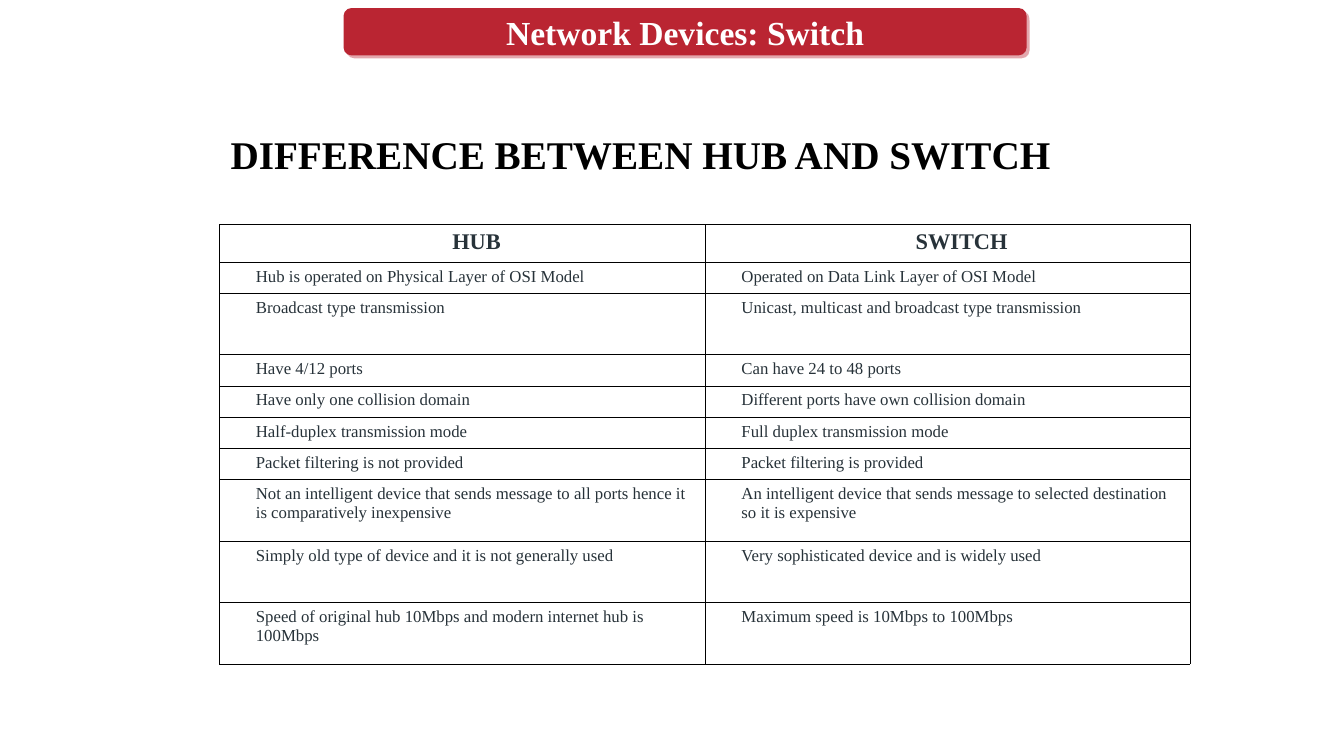
from dataclasses import dataclass

import pptx
import pptx.dml.color
import pptx.enum.shapes
import pptx.enum.text
import pptx.oxml
import pptx.oxml.ns
import pptx.util
from pptx.dml.color import RGBColor
from pptx.util import Inches

RED = RGBColor(0xBA, 0x25, 0x32)
WHITE = RGBColor(0xFF, 0xFF, 0xFF)
BLACK = RGBColor(0x00, 0x00, 0x00)
SLATE = RGBColor(0x27, 0x32, 0x39)
FONT = "Times New Roman"
ALIGN = pptx.enum.text.PP_ALIGN
NAMESPACE = pptx.oxml.ns.nsdecls("a")
BORDER_SIDES = ("lnL", "lnR", "lnT", "lnB")
BORDER_WIDTH = pptx.util.Pt(0.45)
SHADOW_DISTANCE = pptx.util.Pt(3)


@dataclass(frozen=True)
class TextStyle:
    size: int
    color: RGBColor
    bold: bool
    align: ALIGN


@dataclass(frozen=True)
class Comparison:
    hub: str
    switch: str
    height: float = 0.31
    header: bool = False


BANNER_STYLE = TextStyle(24, WHITE, True, ALIGN.CENTER)
HEADING_STYLE = TextStyle(28, BLACK, True, ALIGN.JUSTIFY)
HEADER_STYLE = TextStyle(16, SLATE, True, ALIGN.CENTER)
BODY_STYLE = TextStyle(12, SLATE, False, ALIGN.LEFT)

COMPARISONS = (
    Comparison("HUB", "SWITCH", 0.37, True),
    Comparison("Hub is operated on Physical Layer of OSI Model",
               "Operated on Data Link Layer of OSI Model"),
    Comparison("Broadcast type transmission",
               "Unicast, multicast and broadcast type transmission", 0.61),
    Comparison("Have 4/12 ports", "Can have 24 to 48 ports"),
    Comparison("Have only one collision domain",
               "Different ports have own collision domain"),
    Comparison("Half-duplex transmission mode", "Full duplex transmission mode"),
    Comparison("Packet filtering is not provided", "Packet filtering is provided"),
    Comparison("Not an intelligent device that sends message to all ports hence it "
               "is comparatively inexpensive",
               "An intelligent device that sends message to selected destination "
               "so it is expensive", 0.61),
    Comparison("Simply old type of device and it is not generally used",
               "Very sophisticated device and is widely used", 0.61),
    Comparison("Speed of original hub 10Mbps and modern internet hub is 100Mbps",
               "Maximum speed is 10Mbps to 100Mbps", 0.61),
)


def write_text(frame: pptx.text.text.TextFrame, text: str, style: TextStyle) -> None:
    para = frame.paragraphs[0]
    para.alignment = style.align
    span = para.add_run()
    span.text = text
    span.font.name = FONT
    span.font.size = pptx.util.Pt(style.size)
    span.font.bold = style.bold
    span.font.color.rgb = style.color


def add_banner(page: pptx.slide.Slide) -> None:
    banner = page.shapes.add_shape(
        pptx.enum.shapes.MSO_SHAPE.ROUNDED_RECTANGLE,
        Inches(3.41), Inches(0.08), Inches(6.78), Inches(0.47))
    banner.fill.solid()
    banner.fill.fore_color.rgb = RED
    banner.line.fill.background()
    banner.shadow.inherit = False
    effects = banner.element.spPr.find(pptx.oxml.ns.qn("a:effectLst"))
    effects.append(pptx.oxml.parse_xml(
        f'<a:outerShdw {NAMESPACE} blurRad="0" dist="{SHADOW_DISTANCE}" '
        f'dir="2700000" algn="tl" rotWithShape="0"><a:srgbClr val="{RED}">'
        '<a:alpha val="40000"/></a:srgbClr></a:outerShdw>'))
    banner.text_frame.vertical_anchor = pptx.enum.text.MSO_ANCHOR.MIDDLE
    write_text(banner.text_frame, "Network Devices: Switch", BANNER_STYLE)


def add_heading(page: pptx.slide.Slide) -> None:
    box = page.shapes.add_textbox(
        Inches(2.19), Inches(1.24), Inches(8.35), Inches(0.57))
    box.text_frame.word_wrap = False
    box.text_frame.auto_size = pptx.enum.text.MSO_AUTO_SIZE.SHAPE_TO_FIT_TEXT
    write_text(box.text_frame, "DIFFERENCE BETWEEN HUB AND SWITCH", HEADING_STYLE)


def fill_cell(cell: pptx.table._Cell, text: str, style: TextStyle) -> None:
    cell.margin_left = cell.margin_right = Inches(0.08)
    cell.margin_top = cell.margin_bottom = Inches(0.05)
    properties = cell._tc.get_or_add_tcPr()
    for side in BORDER_SIDES:
        properties.append(pptx.oxml.parse_xml(
            f'<a:{side} {NAMESPACE} w="{BORDER_WIDTH}"><a:solidFill>'
            f'<a:srgbClr val="{BLACK}"/></a:solidFill></a:{side}>'))
    cell.fill.background()
    write_text(cell.text_frame, text, style)
    indent = cell.text_frame.paragraphs[0]._p.get_or_add_pPr()
    indent.set("marL", str(Inches(0.28)))
    indent.set("indent", "0")


def add_comparison_table(page: pptx.slide.Slide) -> None:
    total_height = sum(item.height for item in COMPARISONS)
    table = page.shapes.add_table(
        len(COMPARISONS), 2, Inches(2.18), Inches(2.23),
        Inches(9.63), Inches(total_height)).table
    table.first_row = False
    table.horz_banding = False
    for column, width in zip(table.columns, (4.82, 4.81)):
        column.width = Inches(width)
    for row, item in zip(table.rows, COMPARISONS):
        row.height = Inches(item.height)
        style = HEADER_STYLE if item.header else BODY_STYLE
        for cell, text in zip(row.cells, (item.hub, item.switch)):
            fill_cell(cell, text, style)


def main() -> None:
    deck = pptx.Presentation()
    deck.slide_width = Inches(13.34)
    deck.slide_height = Inches(7.5)
    page = deck.slides.add_slide(deck.slide_layouts[6])
    add_banner(page)
    add_heading(page)
    add_comparison_table(page)
    deck.save("out.pptx")


if __name__ == "__main__":
    main()
